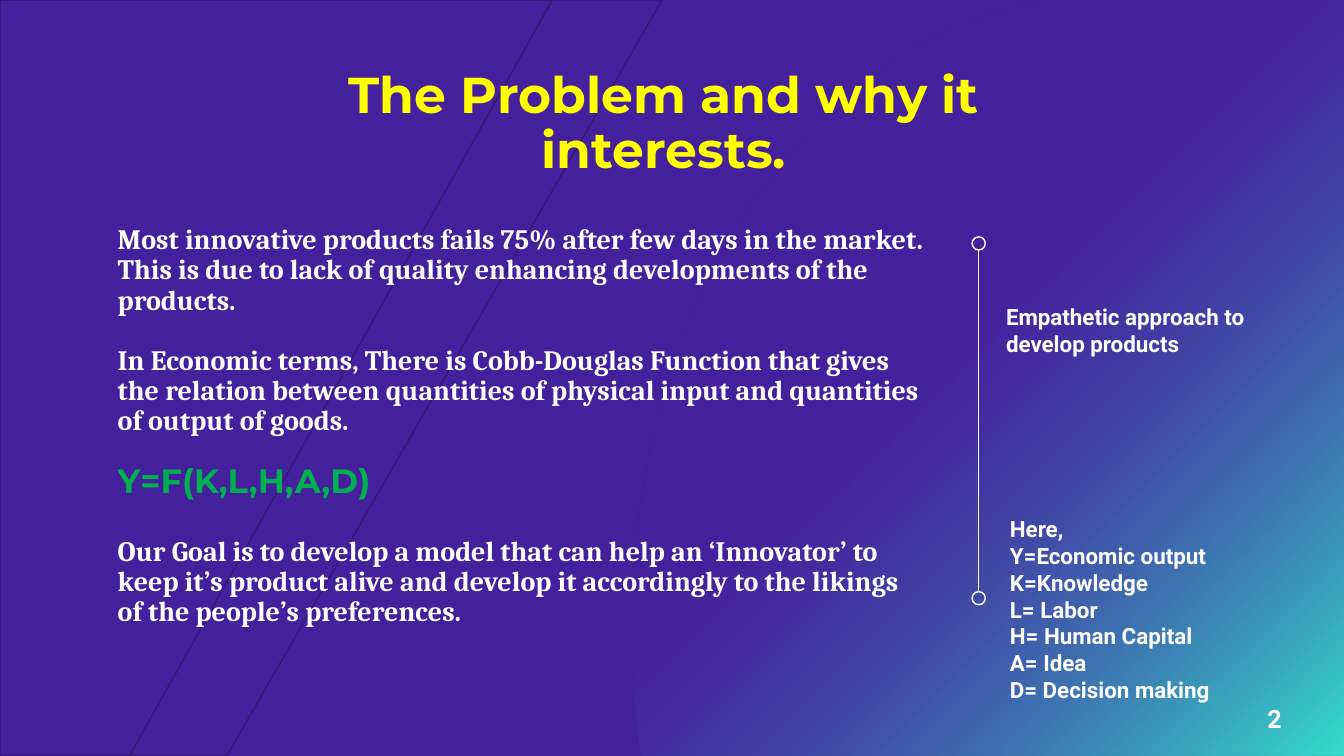
from math import cos, pi, sin

from lxml import etree
from pptx import Presentation
from pptx.dml.color import RGBColor
from pptx.enum.shapes import MSO_CONNECTOR, MSO_SHAPE
from pptx.enum.text import MSO_ANCHOR, PP_ALIGN
from pptx.oxml.ns import qn
from pptx.util import Pt

PURPLE = RGBColor(0x45, 0x20, 0x9D)
DARK_PURPLE = RGBColor(0x33, 0x18, 0x74)
TEAL = RGBColor(0x34, 0xDF, 0xCB)
YELLOW = RGBColor(0xFF, 0xFF, 0x00)
GREEN = RGBColor(0x00, 0xB0, 0x50)
WHITE = RGBColor(0xFF, 0xFF, 0xFF)
LEFT, CENTER = PP_ALIGN.LEFT, PP_ALIGN.CENTER
TOP, MIDDLE = MSO_ANCHOR.TOP, MSO_ANCHOR.MIDDLE
WIDTH, HEIGHT = 960, 540

deck = Presentation()
deck.slide_width, deck.slide_height = Pt(WIDTH), Pt(HEIGHT)
page = deck.slides.add_slide(deck.slide_layouts[6])
page.background.fill.solid()
page.background.fill.fore_color.rgb = PURPLE


def add_outline(points, opacity):
    """Draw a closed outline and make its first fill colour see-through."""
    builder = page.shapes.build_freeform(Pt(points[0][0]), Pt(points[0][1]))
    builder.add_line_segments([(Pt(x), Pt(y)) for x, y in points[1:]])
    shape = builder.convert_to_shape()
    shape.shadow.inherit = False
    if opacity == 20:
        shape.fill.solid()
        shape.fill.fore_color.rgb = PURPLE
        shape.line.color.rgb = DARK_PURPLE
        shape.line.width = Pt(1)
    else:
        shape.fill.gradient()
        shape.fill.gradient_angle = 315
        for stop, color, position in zip(shape.fill.gradient_stops, (PURPLE, TEAL), (0.44, 1)):
            stop.color.rgb = color
            stop.position = position
        shape.line.fill.background()
    color_element = next(shape._element.spPr.iter(qn("a:srgbClr")))
    etree.SubElement(color_element, qn("a:alpha")).set("val", str(opacity * 1000))


def add_text(area, paragraphs, align=LEFT, anchor=TOP, inset=0, spacing=1.0):
    """Each paragraph is (text, font, size, colour, space before)."""
    box = page.shapes.add_textbox(*[Pt(value) for value in area])
    frame = box.text_frame
    frame.word_wrap = True
    frame.vertical_anchor = anchor
    frame.margin_left = frame.margin_right = Pt(inset)
    frame.margin_top = frame.margin_bottom = Pt(inset / 2)
    for index, (text, font, size, color, before) in enumerate(paragraphs):
        para = frame.paragraphs[0] if index == 0 else frame.add_paragraph()
        para.text = text
        para.alignment = align
        para.line_spacing = spacing
        para.space_before = Pt(before)
        para.font.name = font
        para.font.size = Pt(size)
        para.font.bold = True
        para.font.color.rgb = color


# Slanted panel, teal glow with an elliptical left edge, second panel
add_outline([(0, 0), (473, 0), (162, HEIGHT), (0, HEIGHT), (0, 0)], 20)
center_x, center_y, radius_x, radius_y = 779, 449.3, 327.6, 449.3
start, end, steps = pi / 2, pi + 0.2033, 60
angles = [end + (start - end) * step / steps for step in range(steps + 1)]
edge = [(center_x + radius_x * cos(a), center_y - radius_y * sin(a)) for a in angles]
add_outline(edge + [(WIDTH, 0), (WIDTH, HEIGHT), edge[0]], 40)
add_outline([(0, 0), (394.5, 0), (92.5, HEIGHT), (0, HEIGHT), (0, 0)], 20)

# Page number and title
add_text((882.7, 499, 55.4, 28.8), [("2", "Roboto", 18, WHITE, 0)], CENTER, inset=7.2)
add_text((204.5, 54.7, 539.3, 68.4),
         [("The Problem and why it interests.", "Montserrat", 36, YELLOW, 0)],
         CENTER, MIDDLE, 7.2, 0.9)

# Vertical divider with a ring at each end
divider_x, ring_size, ring_tops = 699.1, 9.4, (169.2, 422.6)
divider = page.shapes.add_connector(
    MSO_CONNECTOR.STRAIGHT, Pt(divider_x), Pt(ring_tops[0] + ring_size),
    Pt(divider_x), Pt(ring_tops[1]))
divider.line.color.rgb = WHITE
divider.line.width = Pt(1)
etree.SubElement(divider._element.spPr, qn("a:effectLst"))
for ring_top in ring_tops:
    ring = page.shapes.add_shape(
        MSO_SHAPE.OVAL, Pt(divider_x - ring_size / 2), Pt(ring_top), Pt(ring_size), Pt(ring_size))
    ring.shadow.inherit = False
    ring.fill.background()
    ring.line.color.rgb = WHITE
    ring.line.width = Pt(1)

# Side notes
add_text((718.6, 216.7, 213, 38.9),
         [("Empathetic approach to develop products", "Roboto", 16, WHITE, 0)])
legend = ["Here,", "Y=Economic output", "K=Knowledge", "L= Labor",
          "H= Human Capital", "A= Idea", "D= Decision making"]
add_text((721.4, 367.9, 159, 135.4), [(entry, "Roboto", 16, WHITE, 0) for entry in legend])

# Main argument
add_text((77, 149.6, 591, 310), [
    ("Most innovative products fails 75% after few days in the market. This is due to lack "
     "of quality enhancing developments of the products.", "Cambria", 20, WHITE, 0),
    ("In Economic terms, There is Cobb-Douglas Function that gives the relation between "
     "quantities of physical input and quantities of output of goods.",
     "Cambria", 20, WHITE, 21.6),
    ("Y=F(K,L,H,A,D)", "Montserrat", 24, GREEN, 19.4),
    ("Our Goal is to develop a model that can help an ‘Innovator’ to keep it’s product alive "
     "and develop it accordingly to the likings of the people’s preferences.",
     "Cambria", 20, WHITE, 26),
], anchor=MIDDLE, inset=7.2, spacing=0.9)

deck.save("out.pptx")
